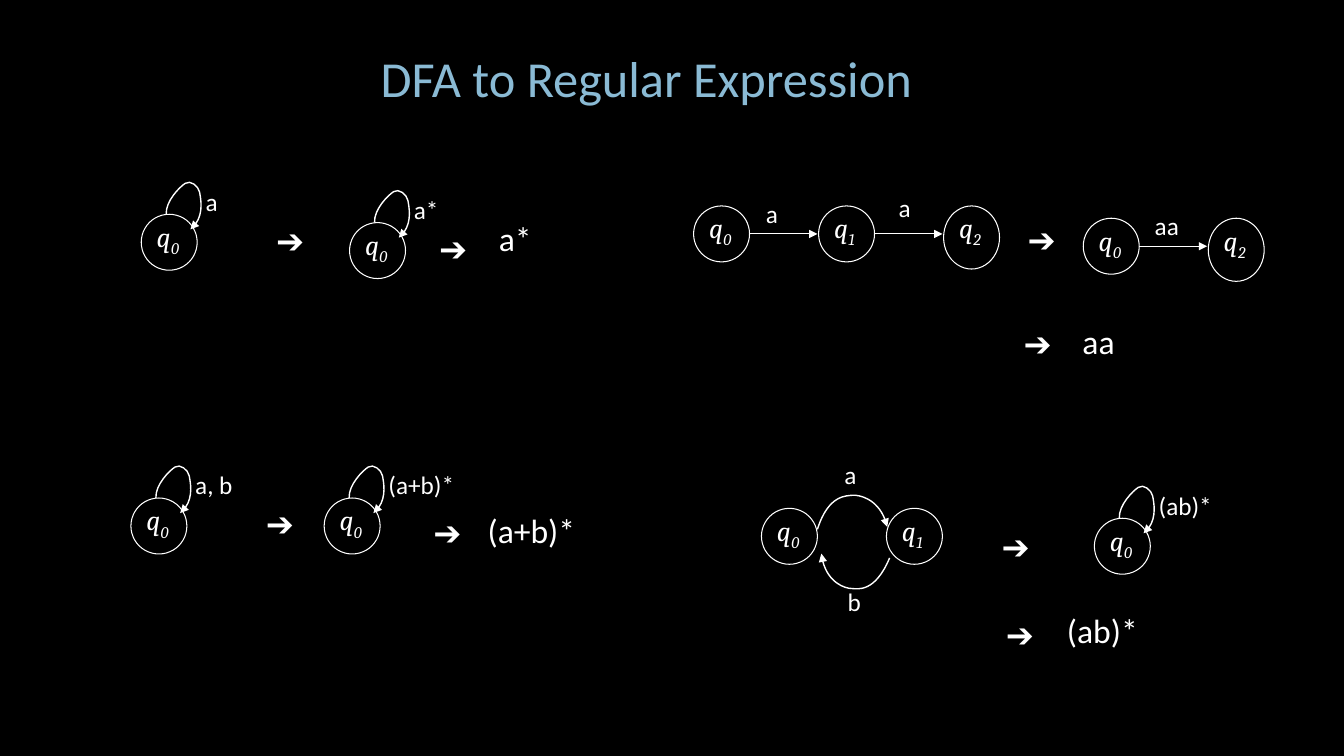
from lxml import etree
from pptx import Presentation
from pptx.dml.color import RGBColor
from pptx.enum.shapes import MSO_CONNECTOR, MSO_SHAPE
from pptx.enum.text import MSO_ANCHOR, PP_ALIGN
from pptx.oxml.ns import qn
from pptx.util import Cm, Pt

BLACK = RGBColor(0x00, 0x00, 0x00)
WHITE = RGBColor(0xFF, 0xFF, 0xFF)
BLUE = RGBColor(0x8A, 0xBA, 0xD4)

STATE = 1.41  # diameter of a state
STEP = 3.15   # distance between neighbouring states

# Self-loop, relative to the corner of its state
LOOP = [(0.63, 0), (0.61, -0.33), (0.97, -0.69), (1.11, -0.78),
        (1.24, -0.87), (1.44, -0.71), (1.47, -0.56),
        (1.5, -0.39), (1.6, 0.1), (1.24, 0.38)]

# Arcs of the two-state cycle
ARC_A = [(20.6, 13.34), (20.88, 12.45), (21.34, 12.5), (21.49, 12.48),
         (21.64, 12.47), (22.2, 12.57), (22.36, 13.28)]
ARC_B = [(22.42, 14.06), (22.05, 14.94), (21.62, 14.84), (21.46, 14.83),
         (21.3, 14.83), (20.78, 14.66), (20.7, 13.95)]

# label, x, y, label width
LOOPS = [("a", 3.56, 5.4, 0.81), ("a*", 8.81, 5.61, 1.14),
         ("a, b", 3.3, 12.55, 1.47), ("(a+b)*", 8.17, 12.55, 2.18),
         ("(ab)*", 27.58, 13.06, 1.88)]

SIGNS = [(6.71, 5.41), (10.82, 5.61), (25.65, 5.38), (25.55, 8.0),
         (6.45, 12.55), (10.67, 12.78), (24.99, 13.13), (25.1, 15.34)]

# expression, x, y, width
RESULTS = [("a*", 12.32, 5.36, 1.4), ("aa", 27.03, 7.95, 1.32),
           ("(a+b)*", 12.04, 12.73, 2.74), ("(ab)*", 26.64, 15.24, 2.31)]


def add_run(p, text, size, font="Calibri", color=WHITE):
    r = p.add_run()
    r.text = text
    r.font.size = Pt(size)
    r.font.name = font
    r.font.color.rgb = color
    return r


def add_box(shapes, x, y, w, h, wrap=False):
    tf = shapes.add_textbox(Cm(x), Cm(y), Cm(w), Cm(h)).text_frame
    tf.word_wrap = wrap
    return tf.paragraphs[0]


def add_label(shapes, text, x, y, w):
    add_run(add_box(shapes, x, y, w, 1.03), text, 18)


def add_state(shapes, index, x, y, h=STATE):
    sp = shapes.add_shape(MSO_SHAPE.OVAL, Cm(x), Cm(y), Cm(STATE), Cm(h))
    sp.shadow.inherit = False
    sp.fill.background()
    sp.line.color.rgb = WHITE
    sp.line.width = Pt(0.75)
    p = add_box(shapes, x + 0.14, y, 1.17, 1.12)
    add_run(p, "q", 20, "Cambria").font.italic = True
    r = add_run(p, index, 20, "Cambria")
    r.font.italic = True
    r._r.get_or_add_rPr().set("baseline", "-25000")


def style_arrow(sp, width):
    sp.line.color.rgb = WHITE
    sp.line.width = Pt(width)
    ln = sp.line._get_or_add_ln()
    etree.SubElement(ln, qn("a:tailEnd"), type="triangle")


def add_transition(shapes, x, y):
    """Straight arrow from the state at x, y to its right neighbour."""
    left, mid = x + STATE, y + STATE / 2
    cn = shapes.add_connector(MSO_CONNECTOR.STRAIGHT, Cm(left), Cm(mid),
                              Cm(left + 1.71), Cm(mid))
    style_arrow(cn, 0.75)
    etree.SubElement(cn._element.spPr, qn("a:effectLst"))


def add_curve(shapes, points, x=0, y=0):
    """Arrow along cubic curves: a start point, then triples of points."""
    pts = [(Cm(x + px), Cm(y + py)) for px, py in points]
    fb = shapes.build_freeform(*pts[0])
    fb.add_line_segments(pts[1:], close=False)
    sp = fb.convert_to_shape()
    sp.shadow.inherit = False
    sp.fill.background()
    style_arrow(sp, 1)
    # Turn each triple of line segments into one curve
    segments = list(sp._element.iter(qn("a:lnTo")))
    for i in range(0, len(segments), 3):
        curve = etree.Element(qn("a:cubicBezTo"))
        segments[i].addprevious(curve)
        for segment in segments[i:i + 3]:
            curve.append(segment[0])
            segment.getparent().remove(segment)


def add_loop_state(shapes, label, x, y, w):
    add_state(shapes, "0", x, y)
    add_label(shapes, label, x + 1.37, y - 0.84, w)
    add_curve(shapes, LOOP, x, y)


def add_chain(shapes, indexes, x, y):
    """Row of states joined by arrows; the last state is taller."""
    for i, index in enumerate(indexes):
        last = i == len(indexes) - 1
        add_state(shapes, index, x + i * STEP, y, 1.59 if last else STATE)
        if not last:
            add_transition(shapes, x + i * STEP, y)


def add_title(s, text):
    sp = s.shapes.title
    sp.left, sp.top, sp.width, sp.height = Cm(6.65), Cm(1.04), Cm(19.28), Cm(1.8)
    tf = sp.text_frame
    tf.vertical_anchor = MSO_ANCHOR.MIDDLE
    p = tf.paragraphs[0]
    p.alignment = PP_ALIGN.CENTER
    add_run(p, text, 36, color=BLUE)


def main():
    prs = Presentation()
    prs.slide_width, prs.slide_height = Cm(33.87), Cm(19.05)
    s = prs.slides.add_slide(prs.slide_layouts[5])
    s.background.fill.solid()
    s.background.fill.fore_color.rgb = BLACK
    add_title(s, "DFA to Regular Expression")

    # States with a self-loop
    for loop in LOOPS:
        add_loop_state(s.shapes.add_group_shape().shapes, *loop)

    # Concatenation: three states, then two
    chain = s.shapes.add_group_shape().shapes
    add_chain(chain, "012", 17.48, 5.19)
    add_label(chain, "a", 19.05, 4.88, 0.81)
    add_label(chain, "a", 22.4, 4.72, 0.81)
    short = s.shapes.add_group_shape().shapes
    add_chain(short, "02", 27.3, 5.5)
    add_label(short, "aa", 28.85, 5.18, 1.12)

    # Cycle between two states
    cycle = s.shapes.add_group_shape().shapes
    for i, index in enumerate("01"):
        add_state(cycle, index, 19.19 + i * STEP, 12.81)
    add_curve(cycle, ARC_A)
    add_curve(cycle, ARC_B)
    add_label(cycle, "a", 21.03, 11.46, 0.81)
    add_label(cycle, "b", 21.11, 14.66, 0.86)

    # Arrow signs and resulting expressions
    for x, y in SIGNS:
        add_run(add_box(s.shapes, x, y, 1.4, 1.28, wrap=True), "➔", 24)
    for text, x, y, w in RESULTS:
        add_run(add_box(s.shapes, x, y, w, 1.28), text, 24)

    prs.save("out.pptx")


if __name__ == "__main__":
    main()
